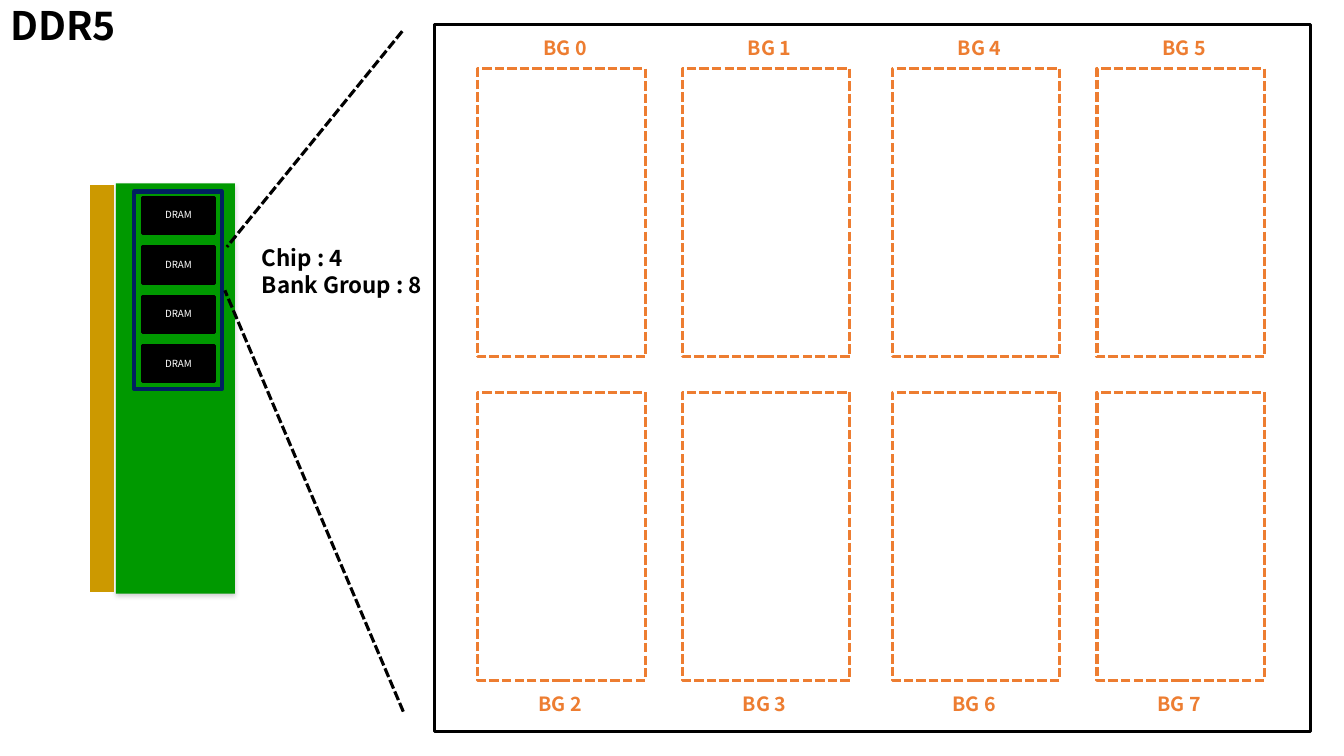
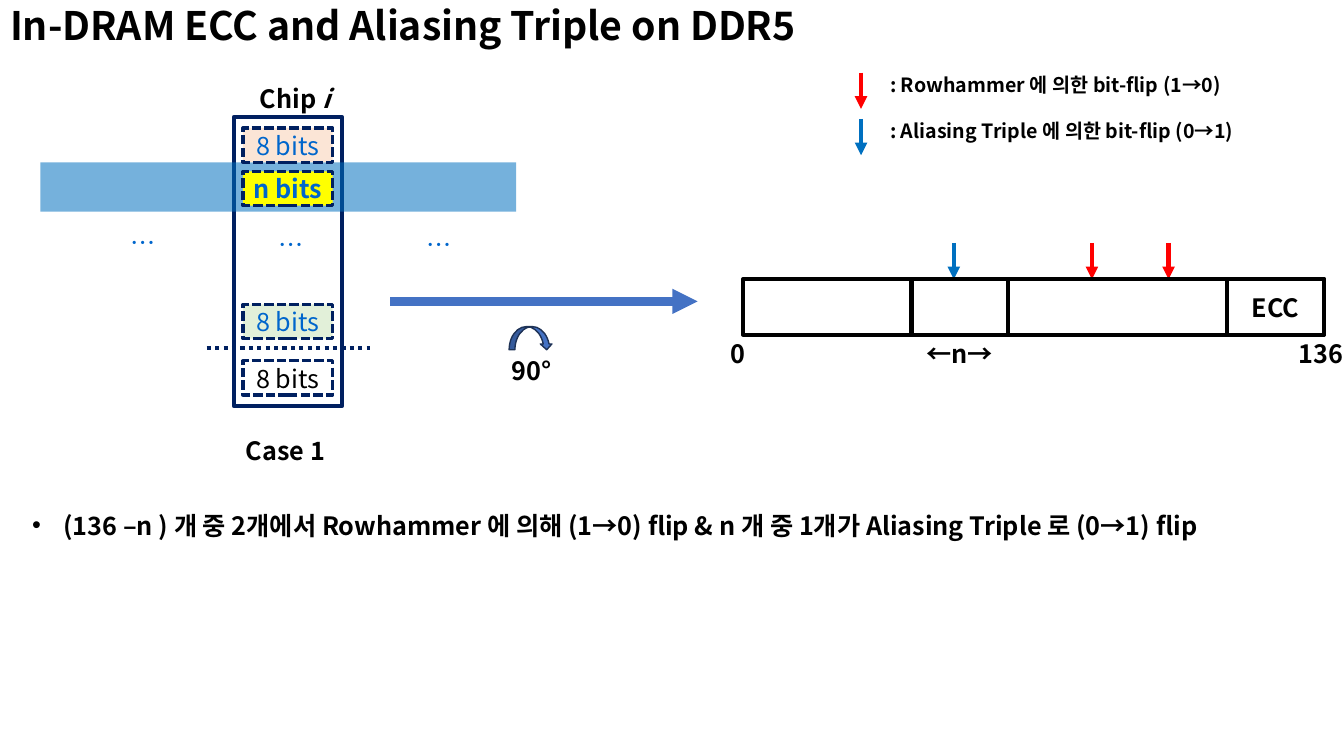
from lxml.etree import SubElement
from pptx import Presentation
from pptx.dml.color import RGBColor
from pptx.enum.dml import MSO_LINE
from pptx.enum.shapes import MSO_CONNECTOR, MSO_SHAPE
from pptx.enum.text import MSO_ANCHOR, MSO_AUTO_SIZE, PP_ALIGN
from pptx.oxml.ns import qn
from pptx.util import Pt

PX = 9144
FONT = "Noto Sans CJK KR"
COLORS = {
    "black": "000000",
    "white": "FFFFFF",
    "orange": "ED7D31",
    "gold": "CC9900",
    "green": "009900",
    "gray": "808080",
    "navy": "002060",
    "blue": "4472C4",
    "dark blue": "1E3256",
    "band blue": "0070C0",
    "text blue": "0066CC",
    "red": "FF0000",
    "peach": "FBE5D6",
    "mint": "E2F0D9",
    "yellow": "FFFF00",
}


def add_box(slide, kind, place, lines=(), size=18, color="black", bold=True, align=PP_ALIGN.LEFT,
            spacing=None, bullet=False, italic_end="", fill=None, outline=None, weight=2.25, dash=None):
    left, top, width, height = (value * PX for value in place)
    if kind == "title":
        shape = slide.shapes.title
        shape.left, shape.top, shape.width, shape.height = left, top, width, height
    elif kind == "text":
        shape = slide.shapes.add_textbox(left, top, width, height)
    else:
        shape = slide.shapes.add_shape(kind, left, top, width, height)
        shape.shadow.inherit = False
        if fill:
            shape.fill.solid()
            shape.fill.fore_color.rgb = RGBColor.from_string(COLORS[fill])
        else:
            shape.fill.background()
        if outline:
            shape.line.color.rgb = RGBColor.from_string(COLORS[outline])
            shape.line.width = Pt(weight)
            shape.line.dash_style = dash
        else:
            shape.line.fill.background()
    frame = shape.text_frame
    frame.word_wrap = True
    frame.auto_size = MSO_AUTO_SIZE.NONE
    frame.vertical_anchor = MSO_ANCHOR.TOP if kind == "text" else MSO_ANCHOR.MIDDLE
    if kind not in ("title", "text"):
        frame.margin_left = frame.margin_right = frame.margin_top = frame.margin_bottom = 0
        align = PP_ALIGN.CENTER
    for number, line in enumerate(lines):
        paragraph = frame.add_paragraph() if number else frame.paragraphs[0]
        if bullet:
            properties = paragraph._p.get_or_add_pPr()
            properties.set("marL", str(31 * PX))
            properties.set("indent", str(-31 * PX))
            SubElement(properties, qn("a:buFont"), typeface="Arial")
            SubElement(properties, qn("a:buChar"), char="•")
        paragraph.alignment = align
        if spacing:
            paragraph.line_spacing = spacing
        for text, italic in ((line, False), (italic_end, True)):
            if text:
                run = paragraph.add_run()
                run.text = text
                run.font.size = Pt(size)
                run.font.bold = bold
                run.font.italic = italic
                run.font.color.rgb = RGBColor.from_string(COLORS[color])
                run.font.name = FONT
                SubElement(run._r.get_or_add_rPr(), qn("a:ea"), typeface=FONT)
    return shape


def add_line(slide, start_x, start_y, end_x, end_y, color, weight, dash=None, arrow=False):
    connector = slide.shapes.add_connector(
        MSO_CONNECTOR.STRAIGHT, start_x * PX, start_y * PX, end_x * PX, end_y * PX)
    connector.line.color.rgb = RGBColor.from_string(COLORS[color])
    connector.line.width = Pt(weight)
    connector.line.dash_style = dash
    if arrow:
        SubElement(connector.line._get_or_add_ln(), qn("a:tailEnd"), type="triangle")
    SubElement(connector._element.spPr, qn("a:effectLst"))


presentation = Presentation()
presentation.slide_width = 1333 * PX
presentation.slide_height = 750 * PX
slides = []
for title in ("DDR5", "In-DRAM ECC and Aliasing Triple on DDR5"):
    slide = presentation.slides.add_slide(presentation.slide_layouts[5])
    add_box(slide, "title", (0, 0, 1333, 55), [title], 28, spacing=0.9)
    slides.append(slide)
module_slide, ecc_slide = slides

for pair in range(2):
    for side in range(2):
        left = 474 + 411 * pair + 203 * side
        for row, (box_top, label_left, label_top) in enumerate(((68, left + 55, 31), (389, left + 50, 682))):
            add_box(module_slide, MSO_SHAPE.RECTANGLE, (left, box_top, 166, 286),
                    outline="orange", dash=MSO_LINE.SQUARE_DOT)
            add_box(module_slide, "text", (label_left, label_top, 70, 34),
                    [f"BG {4 * pair + 2 * row + side}"], 14, "orange")

add_box(module_slide, MSO_SHAPE.RECTANGLE, (88, 182, 27, 407), fill="gold", outline="white")
board = add_box(module_slide, MSO_SHAPE.RECTANGLE, (115, 182, 118, 407), fill="green")
effects = board._element.spPr.find(qn("a:effectLst"))
shadow = SubElement(effects, qn("a:outerShdw"), blurRad=str(Pt(3.1)), dist=str(Pt(1.8)), dir="5400000")
shadow_color = SubElement(shadow, qn("a:srgbClr"), val=COLORS["gray"])
SubElement(shadow_color, qn("a:alpha"), val="35000")
for chip in range(4):
    add_box(module_slide, MSO_SHAPE.RECTANGLE, (141, 196 + 49 * chip, 72, 36), ["DRAM"], 7, "white",
            bold=False, spacing=0.9, fill="black", outline="black")
add_box(module_slide, MSO_SHAPE.RECTANGLE, (133, 190, 87, 196), outline="navy", weight=3)
add_box(module_slide, MSO_SHAPE.RECTANGLE, (431, 24, 869, 702), outline="black")
add_line(module_slide, 399, 31, 225, 245, "black", 2.25, MSO_LINE.SQUARE_DOT)
add_line(module_slide, 400, 706, 223, 288, "black", 2.25, MSO_LINE.SQUARE_DOT)
add_box(module_slide, "text", (250, 237, 207, 64), ["Chip : 4", "Bank Group : 8"], 16)

add_box(ecc_slide, "text", (22, 471, 1311, 122),
        ["(136 –n ) 개 중 2개에서 Rowhammer 에 의해 (1→0) flip & n 개 중 1개가 Aliasing Triple 로 (0→1) flip"],
        spacing=2.0, bullet=True)
add_line(ecc_slide, 387, 299, 692, 299, "blue", 6, arrow=True)
add_box(ecc_slide, MSO_SHAPE.CURVED_DOWN_ARROW, (505, 324, 43, 23), fill="blue", outline="dark blue", weight=1)
add_box(ecc_slide, "text", (498, 348, 66, 40), ["90°"])

for top, color, legend in (
    (67, "red", ": Rowhammer 에 의한 bit-flip (1→0)"),
    (113, "band blue", ": Aliasing Triple 에 의한 bit-flip (0→1)"),
):
    add_line(ecc_slide, 854, top + 5, 854, top + 41, color, 3, arrow=True)
    add_box(ecc_slide, "text", (873, top, 389, 34), [legend], 14)

for center, color in ((946, "band blue"), (1083, "red"), (1159, "red")):
    add_line(ecc_slide, center, 241, center, 277, color, 3, arrow=True)
for left, width, lines in ((737, 576, []), (904, 96, []), (1217, 96, ["ECC"])):
    add_box(ecc_slide, MSO_SHAPE.RECTANGLE, (left, 277, width, 55), lines, outline="black", weight=3)
for left, width, label, align in (
    (715, 43, "0", PP_ALIGN.LEFT),
    (895, 113, "←n→", PP_ALIGN.CENTER),
    (1278, 70, "136", PP_ALIGN.LEFT),
):
    add_box(ecc_slide, "text", (left, 331, width, 40), [label], align=align)

add_box(ecc_slide, "text", (248, 78, 110, 40), ["Chip "], italic_end="i")
add_box(ecc_slide, MSO_SHAPE.RECTANGLE, (232, 116, 107, 287), outline="navy", weight=3)
band = add_box(ecc_slide, MSO_SHAPE.RECTANGLE, (40, 161, 472, 49), fill="band blue")
band_color = band._element.spPr.find(qn("a:solidFill"))[0]
SubElement(band_color, qn("a:alpha"), val="54000")
for top, label, color, bold, fill in (
    (127, "8 bits", "text blue", False, "peach"),
    (170, "n bits", "text blue", True, "yellow"),
    (302, "8 bits", "text blue", False, "mint"),
    (358, "8 bits", "black", False, None),
):
    add_box(ecc_slide, MSO_SHAPE.RECTANGLE, (241, top, 89, 34), [label], color=color, bold=bold,
            fill=fill, outline="navy", dash=MSO_LINE.SQUARE_DOT)
for left, top in ((120, 221), (266, 223), (413, 223)):
    add_box(ecc_slide, "text", (left, top, 50, 40), ["…"], color="text blue", bold=False)
add_line(ecc_slide, 205, 345, 367, 345, "navy", 3, MSO_LINE.ROUND_DOT)
add_box(ecc_slide, "text", (234, 427, 110, 40), ["Case 1"])

presentation.save("out.pptx")
